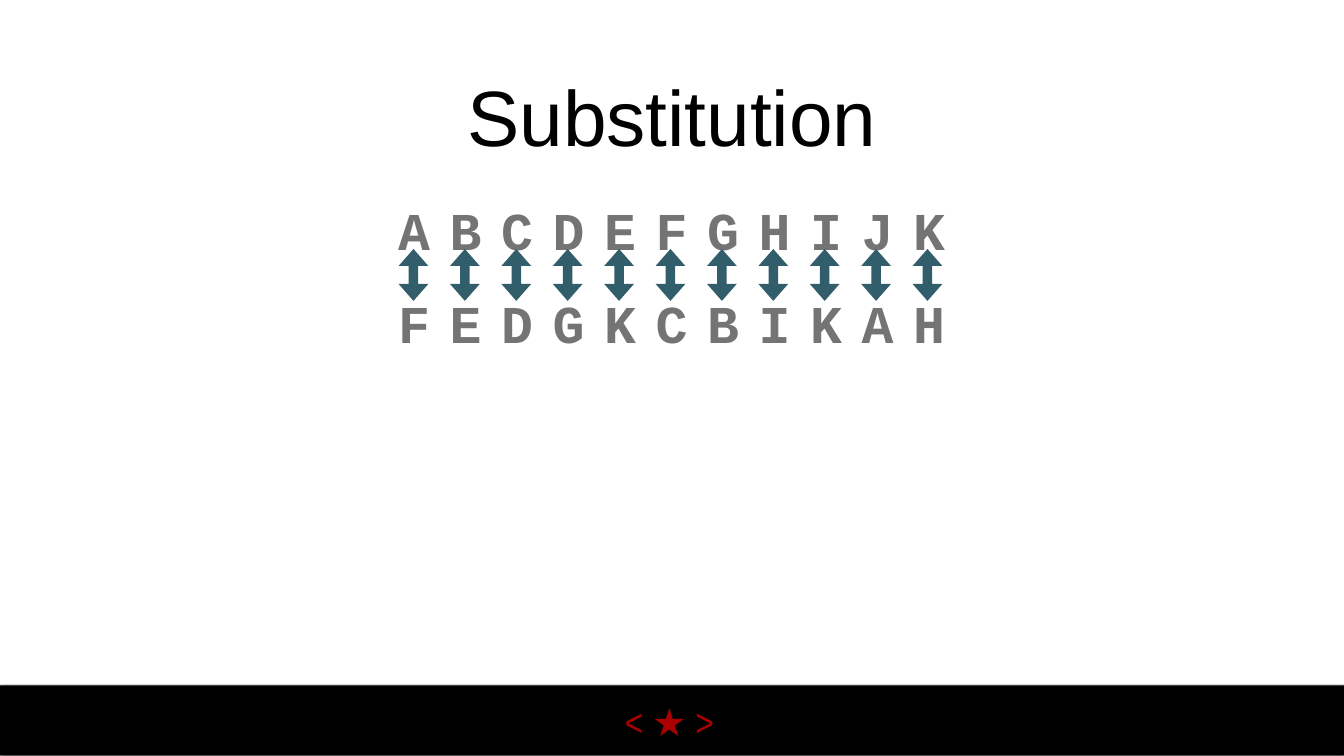
import dataclasses

import lxml.etree
import pptx
import pptx.dml.color
import pptx.enum.shapes
import pptx.enum.text
import pptx.oxml
import pptx.oxml.ns
import pptx.util

SCALE = 9144  # EMU in one px, 100 px to the inch
SHAPE = pptx.enum.shapes.MSO_SHAPE
ANCHOR = pptx.enum.text.MSO_ANCHOR


@dataclasses.dataclass(frozen=True)
class Theme:
    black: str = "000000"
    red: str = "AA0000"
    gray: str = "747474"
    teal: str = "325D6B"
    title: int = 112
    code: int = 76
    foot: int = 55
    track: int = 2810  # letter spacing, hundredths of a point


THEME = Theme()
PLAIN = "ABCDEFGHIJK"
CIPHER = "FEDGKCBIKAH"


def px(*vals):
    return [pptx.util.Emu(val * SCALE) for val in vals]


def rgb(code):
    return pptx.dml.color.RGBColor.from_string(code)


def add_solid(shapes, kind, box, color):
    shape = shapes.add_shape(kind, *px(*box))
    shape.shadow.inherit = False
    shape.fill.solid()
    shape.fill.fore_color.rgb = rgb(color)
    shape.line.fill.background()
    return shape


def add_shadow(shape):
    effects = shape._element.spPr.find(pptx.oxml.ns.qn("a:effectLst"))
    shade = lxml.etree.SubElement(
        effects, pptx.oxml.ns.qn("a:outerShdw"), blurRad="38100",
        dist="25400", dir="5400000", rotWithShape="0")
    color = lxml.etree.SubElement(
        shade, pptx.oxml.ns.qn("a:srgbClr"), val=THEME.black)
    lxml.etree.SubElement(color, pptx.oxml.ns.qn("a:alpha"), val="50000")


def set_text(shape, box, lines, face, size, color,
             anchor=ANCHOR.MIDDLE, gap=0, bold=False, wrap=True):
    shape.left, shape.top, shape.width, shape.height = px(*box)
    frame = shape.text_frame
    frame.text = "\n".join(lines)
    frame.word_wrap = wrap
    frame.auto_size = pptx.enum.text.MSO_AUTO_SIZE.NONE
    frame.vertical_anchor = anchor
    (frame.margin_left, frame.margin_top,
     frame.margin_right, frame.margin_bottom) = px(6, 6, 6, 6)
    for row, para in enumerate(frame.paragraphs):
        para.alignment = pptx.enum.text.PP_ALIGN.CENTER
        para.space_before = pptx.util.Pt(gap if row else 0)
        para.font.name = face
        para.font.size = pptx.util.Pt(size)
        para.font.bold = bold
        para.font.color.rgb = rgb(color)
    return frame


def add_box(slide, box, *args, **opts):
    return set_text(slide.shapes.add_textbox(*px(*box)), box, *args, **opts)


def add_footer(slide):
    band = add_solid(slide.shapes, SHAPE.RECTANGLE,
                     (0, 1360, 2667, 139), THEME.black)
    add_shadow(band)
    add_box(slide, (1230, 1371, 197, 118), ["< ★ >"],
            "Arial Narrow", THEME.foot, THEME.red, wrap=False)


def add_code(slide):
    frame = add_box(slide, (685, 385, 1297, 729), [PLAIN, CIPHER],
                    "Courier New", THEME.code, THEME.gray,
                    anchor=ANCHOR.TOP, gap=42, bold=True)
    for para in frame.paragraphs:
        for run in para.runs:
            run.font._element.set("spc", str(THEME.track))


def add_arrows(slide):
    group = slide.shapes.add_group_shape()
    for col in range(len(PLAIN)):
        arrow = add_solid(group.shapes, SHAPE.LEFT_RIGHT_ARROW,
                          (769 + 102 * col, 516, 103, 59), THEME.teal)
        arrow.rotation = 270
        arrow.adjustments[0] = 0.32
        arrow.adjustments[1] = 0.57


def main():
    deck = pptx.Presentation()
    deck.slide_width, deck.slide_height = px(2667, 1500)
    slide = deck.slides.add_slide(deck.slide_layouts[5])

    # Footer band, then title
    add_footer(slide)
    set_text(slide.shapes.title, (185, 104, 2297, 250), ["Substitution"],
             "Arial", THEME.title, THEME.black)

    # Two alphabets and the arrows that pair their letters
    add_code(slide)
    add_arrows(slide)
    deck.save("out.pptx")


if __name__ == "__main__":
    main()
